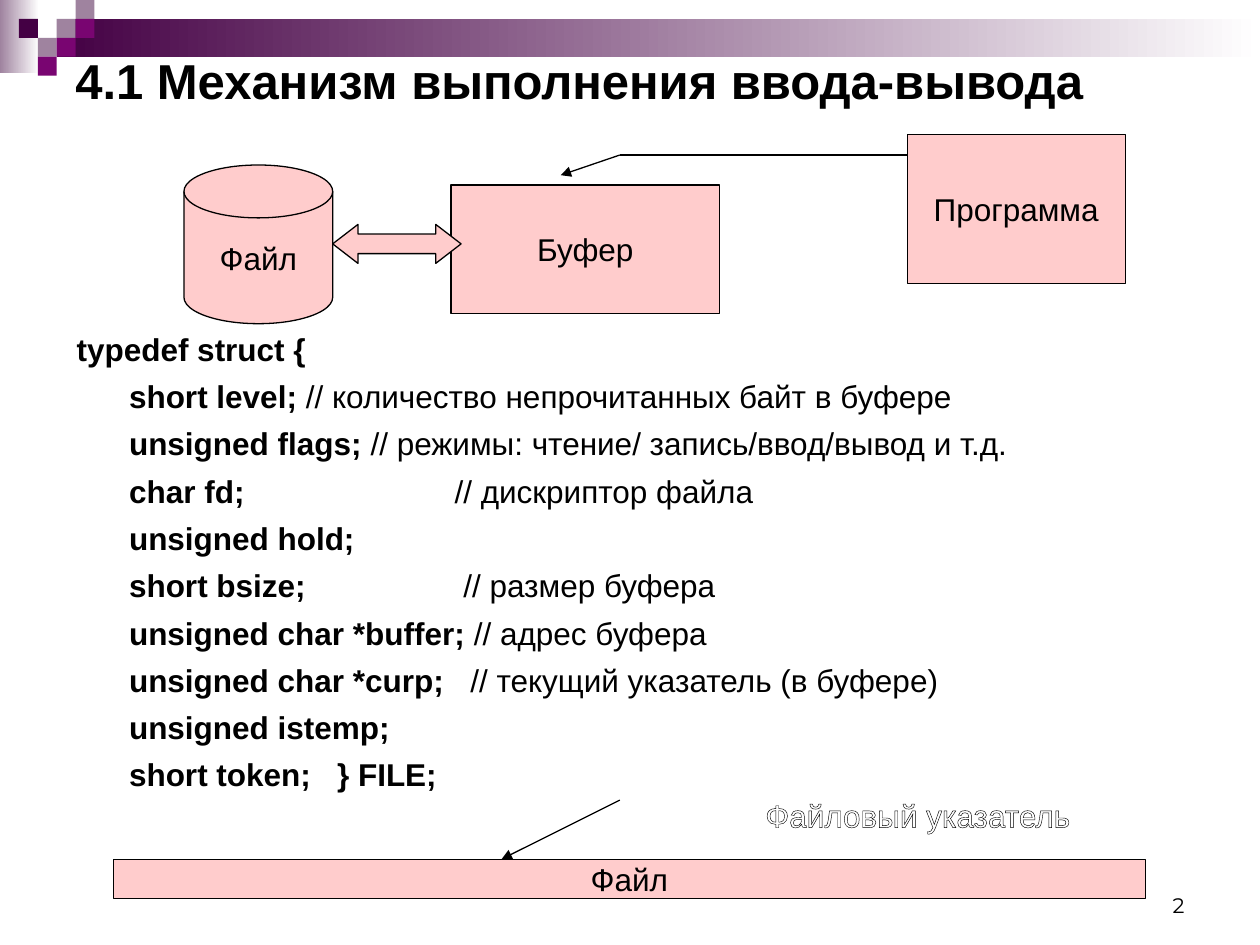
from lxml import etree
from pptx import Presentation
from pptx.dml.color import RGBColor
from pptx.enum.shapes import MSO_CONNECTOR as Conn, MSO_SHAPE as Shape
from pptx.enum.text import MSO_ANCHOR as Anchor, PP_ALIGN as Align
from pptx.oxml.ns import qn
from pptx.util import Pt

COLORS = {"ink": "000000", "paper": "FFFFFF", "pink": "FFCCCC",
          "mauve": "9F839F", "plum": "440044", "violet": "790571"}
LINE = 0.74

# Content: places are left, top, width, height in points
TITLE = "4.1 Механизм выполнения ввода-вывода"
BANDS = [((0, 0, 22.3, 41.8), "mauve"), ((32.4, 10.8, 687.6, 21.6), "plum")]
CELL = 10.8
CELLS = [(3, 1, "mauve"), (4, 0, "mauve"), (4, 1, "violet"), (2, 2, "mauve"),
         (1, 1, "plum"), (3, 2, "violet"), (2, 3, "violet")]
# Code, comment, and the comment's tab stop (None: it follows a space)
FIELDS = [
    ("short level;", "// количество непрочитанных байт в буфере", None),
    ("unsigned flags;", "// режимы: чтение/ запись/ввод/вывод и т.д.", None),
    ("char fd;", "// дискриптор файла", 216),
    ("unsigned hold;", "", None),
    ("short bsize;", "// размер буфера", 221),
    ("unsigned char *buffer;", "// адрес буфера", None),
    ("unsigned char *curp;", "// текущий указатель (в буфере)", 225),
    ("unsigned istemp;", "", None),
    ("short token;   } FILE;", "", None),
]
INDENT = 30
NODES = [
    (Shape.FLOWCHART_MAGNETIC_DISK, (105.1, 94.3, 85, 90.7), "Файл"),
    (Shape.RECTANGLE, (257.8, 105.8, 153.4, 73.4), "Буфер"),
    (Shape.RECTANGLE, (518.4, 77, 124.6, 85), "Программа"),
    (Shape.LEFT_RIGHT_ARROW, (190.1, 128.2, 73.4, 22.3), ""),
    (Shape.RECTANGLE, (64.8, 491, 589.7, 22.3), "Файл"),
]
LINKS = [((518.4, 88.6), (354.2, 88.6), False),
         ((354.2, 88.6), (320.4, 100.1), True),
         ((354.2, 457.2), (286.6, 491), True)]

deck = Presentation()
deck.slide_width, deck.slide_height = Pt(720), Pt(540)
slide = deck.slides.add_slide(deck.slide_layouts[6])
parts = slide.shapes


def rgb(name):
    return RGBColor.from_string(COLORS[name])


def style(run, size=18, bold=False, face="Arial", color="ink"):
    font = run.font
    font.size, font.bold, font.name = Pt(size), bold, face
    font.color.rgb = rgb(color)


def draw(kind, place, fill=None):
    shape = parts.add_shape(kind, *map(Pt, place))
    shape.shadow.inherit = False
    shape.line.fill.background()
    if fill:
        shape.fill.solid()
        shape.fill.fore_color.rgb = rgb(fill)
    return shape


def label(place, text="", align=Align.LEFT, anchor=Anchor.TOP, **look):
    frame = parts.add_textbox(*map(Pt, place)).text_frame
    frame.word_wrap = True
    frame.vertical_anchor = anchor
    frame.text = text
    frame.paragraphs[0].alignment = align
    for run in frame.paragraphs[0].runs:
        style(run, **look)
    return frame


def set_tabs(para, stops):
    tabs = etree.SubElement(para._p.get_or_add_pPr(), qn("a:tabLst"))
    for stop in stops:
        etree.SubElement(tabs, qn("a:tab"), pos=str(Pt(stop)), algn="l")


# Header bands and squares
for place, start in BANDS:
    fill = draw(Shape.RECTANGLE, place).fill
    fill.gradient()
    fill.gradient_angle = 0
    for stop, name in zip(fill.gradient_stops, (start, "paper")):
        stop.color.rgb = rgb(name)
for col, row, name in CELLS:
    draw(Shape.RECTANGLE, (col * CELL, row * CELL, CELL, CELL), name)

# Page number and title
label((516.2, 491.8, 167.8, 36), "2", Align.RIGHT, Anchor.BOTTOM,
      size=12, face="Montserrat")
label((36, 25.9, 648, 39.6), TITLE, anchor=Anchor.MIDDLE, size=28, bold=True)

# Structure listing
code = label((36.7, 185, 648, 266.4), "typedef struct {", bold=True)
code.paragraphs[0].space_before = Pt(5.4)
for field, note, stop in FIELDS:
    para = code.add_paragraph()
    para.space_before = Pt(5.4)
    set_tabs(para, [INDENT] + ([stop] if stop else []))
    run = para.add_run()
    run.text = "\t" + field
    style(run, bold=True)
    if note:
        run = para.add_run()
        run.text = ("\t" if stop else " ") + note
        style(run)

# Diagram nodes
for kind, place, text in NODES:
    node = draw(kind, place, "pink")
    node.line.color.rgb = rgb("ink")
    node.line.width = Pt(LINE)
    if kind == Shape.LEFT_RIGHT_ARROW:
        node.adjustments[0], node.adjustments[1] = 0.5, 0.65
    if text:
        frame = node.text_frame
        frame.word_wrap = False
        frame.vertical_anchor = Anchor.MIDDLE
        frame.text = text
        frame.paragraphs[0].alignment = Align.CENTER
        style(frame.paragraphs[0].runs[0])

# Connecting lines
for start, end, arrow in LINKS:
    link = parts.add_connector(Conn.STRAIGHT, *map(Pt, start + end))
    link.line.color.rgb = rgb("ink")
    link.line.width = Pt(LINE)
    if arrow:
        etree.SubElement(link.line._get_or_add_ln(), qn("a:tailEnd"),
                         type="triangle")
    etree.SubElement(link._element.spPr, qn("a:effectLst"))

# Outlined caption
note = label((360, 451.4, 329, 24.5), "Файловый указатель", Align.CENTER,
             color="paper")
props = note.paragraphs[0].runs[0].font._element
edge = etree.Element(qn("a:ln"), w=str(Pt(LINE)))
paint = etree.SubElement(edge, qn("a:solidFill"))
etree.SubElement(paint, qn("a:srgbClr"), val=COLORS["ink"])
props.insert(0, edge)

deck.save("out.pptx")
